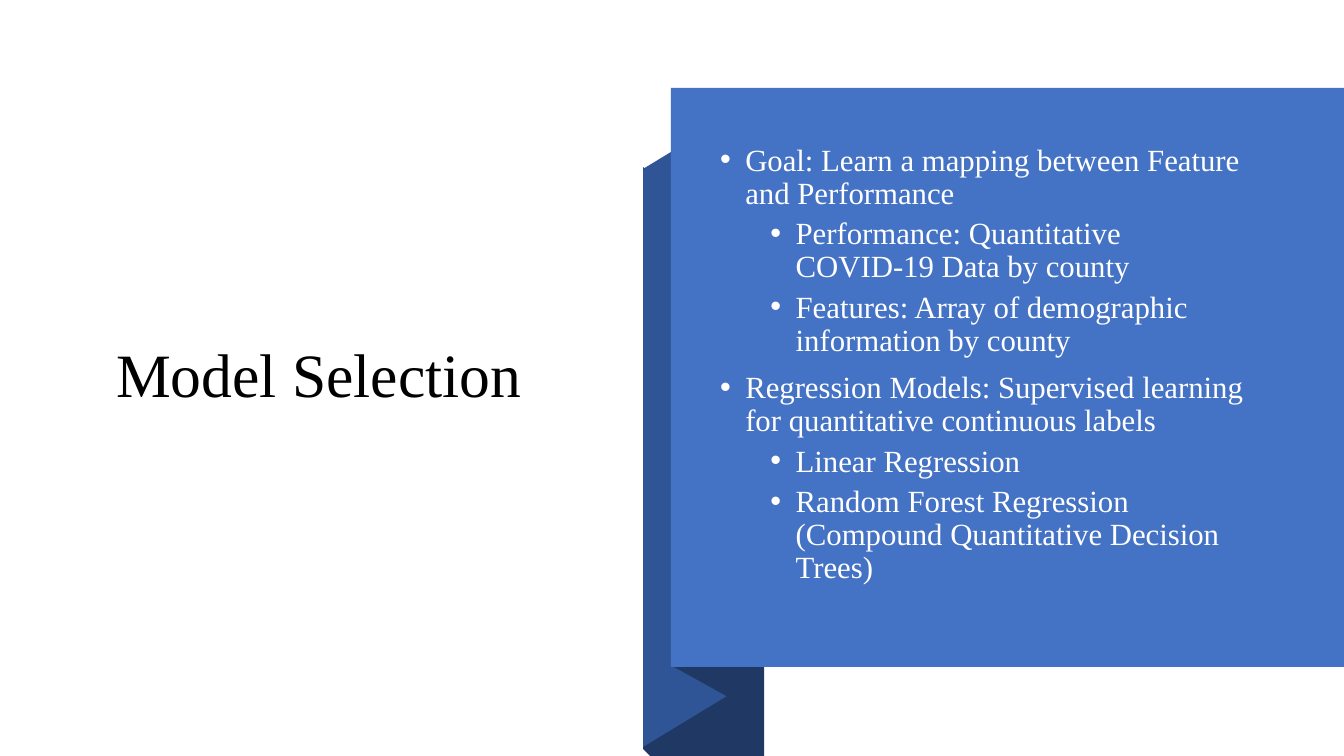
from dataclasses import dataclass

from lxml.etree import SubElement as Sub
from pptx import Presentation
from pptx.dml.color import RGBColor as RGB
from pptx.enum.shapes import MSO_SHAPE as Kind
from pptx.enum.text import MSO_ANCHOR as Anchor, MSO_AUTO_SIZE as Fit, PP_ALIGN as Align
from pptx.oxml.ns import qn
from pptx.util import Pt

SCALE = 914400 / 100.8


@dataclass
class Theme:
    font: str = "Times New Roman"
    title: int = 44
    list: int = 22
    black: str = "000000"
    white: str = "FFFFFF"
    blue: str = "4472C4"
    mid: str = "2F5597"
    dark: str = "203864"


theme = Theme()


def px(n):
    return round(n * SCALE)


def write(par, text, size, color):
    par.alignment = Align.LEFT
    par.line_spacing = 0.9
    run = par.add_run()
    run.text = text
    run.font.name = theme.font
    run.font.size = Pt(size)
    run.font.color.rgb = RGB.from_string(color)


deck = Presentation()
deck.slide_width, deck.slide_height = px(1344), px(756)
slide = deck.slides.add_slide(deck.slide_layouts[1])
shapes = slide.shapes
title, body = shapes.title, slide.placeholders[1]

for box, left, width in [(title, 106, 462), (body, 710, 558)]:
    box.left, box.top, box.width, box.height = px(left), px(124), px(width), px(508)
    frame = box.text_frame
    frame.word_wrap = True
    frame.auto_size = Fit.NONE
    frame.vertical_anchor = Anchor.MIDDLE

write(title.text_frame.paragraphs[0], "Model Selection", theme.title, theme.black)

folds = [
    (theme.dark, [(643, 167), (764, 293), (764, 756), (650, 756), (643, 749)]),
    (theme.mid, [(643, 747), (727, 696), (727, 118), (643, 169)]),
    (theme.dark, [(674, 667), (728, 697), (728, 117), (674, 88)]),
]
parts = []
for color, points in folds:
    pen = shapes.build_freeform(*points[0], scale=SCALE)
    pen.add_line_segments(points[1:], close=True)
    parts.append((pen.convert_to_shape(), color))

panel = shapes.add_shape(Kind.RECTANGLE, px(671), px(88), px(673), px(579))
parts.append((panel, theme.blue))
for part, color in parts:
    part.shadow.inherit = False
    part.fill.solid()
    part.fill.fore_color.rgb = RGB.from_string(color)
    part.line.fill.background()

items = [
    (0, "Goal: Learn a mapping between Feature and Performance"),
    (1, "Performance: Quantitative COVID-19 Data by county"),
    (1, "Features: Array of demographic information by county"),
    (0, "Regression Models: Supervised learning for quantitative continuous labels"),
    (1, "Linear Regression"),
    (1, "Random Forest Regression (Compound Quantitative Decision Trees)"),
]
frame = body.text_frame
frame.margin_bottom = px(31)
for i, (level, text) in enumerate(items):
    par = frame.add_paragraph() if i else frame.paragraphs[0]
    par.level = level
    props = par._p.get_or_add_pPr()
    props.set("marL", str(px(25.2 + 50.4 * level)))
    props.set("indent", str(px(-25.2)))
    Sub(props, qn("a:buFont"), typeface="Arial")
    Sub(props, qn("a:buChar"), char="•")
    par.space_before = Pt((5 if level else 10) if i else 0)
    par.space_after = Pt(0)
    write(par, text, theme.list, theme.white)

shapes.element.append(body.element)

deck.save("out.pptx")
